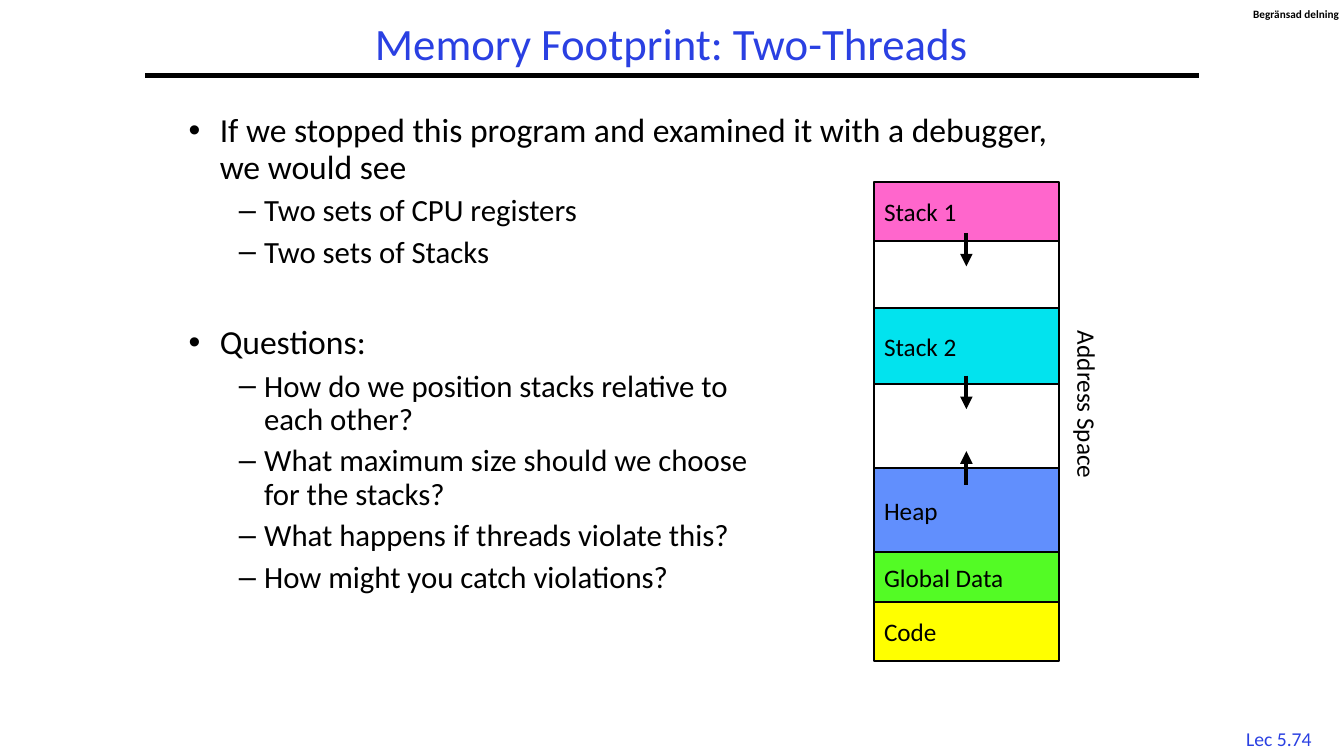
"""Build the slide on the memory footprint of a program with two threads."""
from lxml.etree import SubElement
from pptx import Presentation
from pptx.dml.color import RGBColor
from pptx.enum.shapes import MSO_CONNECTOR as CONN, MSO_SHAPE as SHAPE
from pptx.enum.text import MSO_ANCHOR as ANCHOR, PP_ALIGN as ALIGN
from pptx.oxml.ns import qn
from pptx.util import Inches, Pt

FONT, BLACK, BLUE, WHITE = "Calibri", "000000", "2A40E2", "FFFFFF"

TITLE = "Memory Footprint: Two-Threads"
POINTS = [
    (0, "If we stopped this program and examined it with a debugger, we would see"),
    (1, "Two sets of CPU registers"),
    (1, "Two sets of Stacks"),
    (0, "Questions:"),
    (1, "How do we position stacks relative to \veach other?"),
    (1, "What maximum size should we choose\vfor the stacks?"),
    (1, "What happens if threads violate this?"),
    (1, "How might you catch violations?"),
]
LEVELS = [("•", 0.31, 0.31, 24), ("–", 0.75, 0.25, 22)]
SECTION_GAP, POINT_GAP = 40, 6

ROW = 1 / 12
MEMORY_LEFT, MEMORY_TOP, MEMORY_WIDTH = 8.67, 1.81, 1.83
REGIONS = [
    ("Stack 1", 7, "FF66CC"),
    ("", 8, WHITE),
    ("Stack 2", 9, "02E3EE"),
    ("", 10, WHITE),
    ("Heap", 10, "618FFD"),
    ("Global Data", 6, "53FB25"),
    ("Code", 7, "FFFF00"),
]
GROWTH_ROWS = [(6, 10), (23, 27), (36, 32)]


def rgb(value):
    return RGBColor.from_string(value)


def write(tf, text, size=18, color=BLACK, bold=False, align=ALIGN.LEFT,
          spacing=None, first=True):
    p = tf.paragraphs[0] if first else tf.add_paragraph()
    p.text = text
    p.alignment = align
    p.line_spacing = spacing
    for r in p.runs:
        r.font.name, r.font.size, r.font.bold = FONT, Pt(size), bold
        r.font.color.rgb = rgb(color)
    return p


def place(sp, left, top, width, height):
    sp.left, sp.top = Inches(left), Inches(top)
    sp.width, sp.height = Inches(width), Inches(height)


def add_label(shapes, text, box, inset=None, **fmt):
    sp = shapes.add_textbox(*map(Inches, box))
    tf = sp.text_frame
    tf.word_wrap = True
    if inset is not None:
        tf.margin_left = tf.margin_right = tf.margin_top = tf.margin_bottom = inset
    write(tf, text, **fmt)
    return sp


def add_line(shapes, x1, y1, x2, y2, arrow=False):
    line = shapes.add_connector(CONN.STRAIGHT, *map(Inches, (x1, y1, x2, y2)))
    line.line.color.rgb, line.line.width = rgb(BLACK), Pt(3)
    if arrow:
        SubElement(line.line._get_or_add_ln(), qn("a:tailEnd"), type="triangle")
    SubElement(line._element.spPr, qn("a:effectLst"))


def add_region(shapes, text, top, height, fill):
    sp = shapes.add_shape(SHAPE.RECTANGLE, *map(
        Inches, (MEMORY_LEFT, top, MEMORY_WIDTH, height)))
    sp.shadow.inherit = False
    sp.fill.solid()
    sp.fill.fore_color.rgb = rgb(fill)
    sp.line.color.rgb, sp.line.width = rgb(BLACK), Pt(1.5)
    sp.text_frame.vertical_anchor = ANCHOR.MIDDLE
    if text:
        write(sp.text_frame, text)


def add_points(tf):
    for i, (level, text) in enumerate(POINTS):
        bullet, margin, hang, size = LEVELS[level]
        p = write(tf, text, size=size, spacing=0.9, first=i == 0)
        p.level = level
        gap = POINT_GAP if level else SECTION_GAP
        p.space_before = Pt(gap if i else 0)
        pPr = p._p.get_or_add_pPr()
        pPr.set("marL", str(Inches(margin)))
        pPr.set("indent", str(-Inches(hang)))
        SubElement(pPr, qn("a:buFont"), typeface="Arial")
        SubElement(pPr, qn("a:buChar"), char=bullet)


def add_memory(shapes):
    row = 0
    for text, rows, fill in REGIONS:
        add_region(shapes, text, MEMORY_TOP + row * ROW, rows * ROW, fill)
        row += rows
    middle = MEMORY_LEFT + MEMORY_WIDTH / 2
    for start, end in GROWTH_ROWS:
        add_line(shapes, middle, MEMORY_TOP + start * ROW,
                 middle, MEMORY_TOP + end * ROW, arrow=True)
    add_label(shapes, "Address Space", (9.83, 3.94, 1.91, 0.4)).rotation = 90


def main():
    prs = Presentation()
    prs.slide_width, prs.slide_height = Inches(13.33), Inches(7.5)
    s = prs.slides.add_slide(prs.slide_layouts[1])
    title, body = s.placeholders

    place(title, 1.44, 0.17, 10.44, 0.58)
    title.text_frame.vertical_anchor = ANCHOR.MIDDLE
    write(title.text_frame, TITLE, size=32, color=BLUE, align=ALIGN.CENTER,
          spacing=0.9)
    place(body, 1.77, 1.08, 8.92, 5.58)
    add_points(body.text_frame)

    add_line(s.shapes, 1.44, 0.75, 11.89, 0.75)
    add_label(s.shapes, "Lec 5.74", (12.2, 7.16, 0.97, 0.33), size=14,
              color=BLUE, align=ALIGN.CENTER)
    add_label(s.shapes, "Begränsad delning", (12.43, 0.07, 0.9, 0.13), inset=0,
              size=8, bold=True)
    add_memory(s.shapes.add_group_shape().shapes)
    prs.save("out.pptx")


if __name__ == "__main__":
    main()
